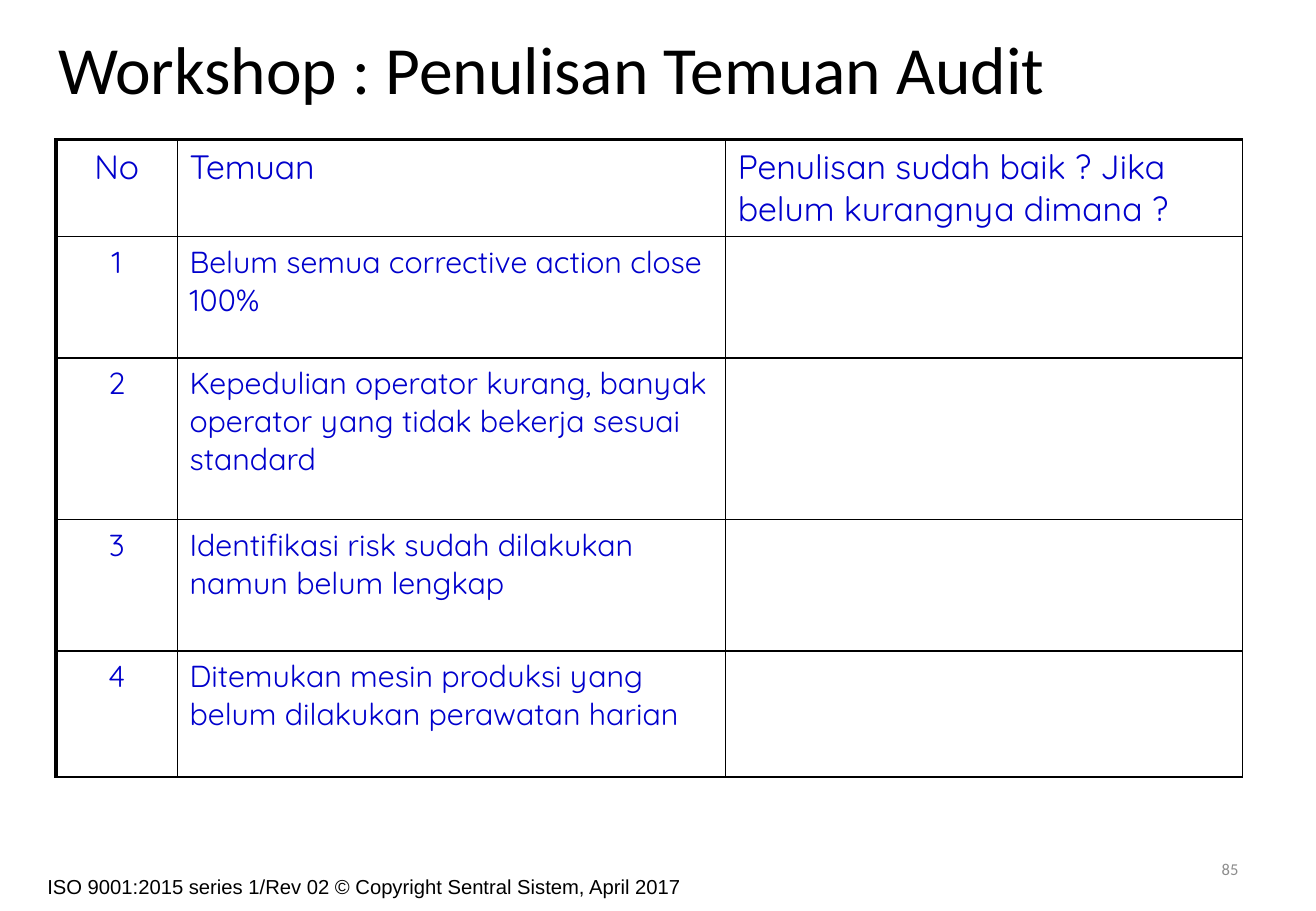
from lxml.etree import SubElement
from pptx import Presentation
from pptx.dml.color import RGBColor
from pptx.enum.text import MSO_ANCHOR as Anchor, PP_ALIGN as Align
from pptx.oxml.ns import qn
from pptx.util import Cm, Pt

FINDINGS = [
    "Belum semua corrective action close 100%",
    "Kepedulian operator kurang, banyak operator yang tidak bekerja sesuai standard",
    "Identifikasi risk sudah dilakukan namun belum lengkap",
    "Ditemukan mesin produksi yang belum dilakukan perawatan harian",
]
HEADER = ["No", "Temuan", "Penulisan sudah baik ? Jika belum kurangnya dimana ?"]
COLUMN_WIDTHS = [2.54, 11.46, 10.8]
ROW_HEIGHTS = [2.03, 2.54, 3.38, 2.74, 2.64]


def set_color(color_format, value):
    """Apply a hex colour string to a colour format."""
    color_format.rgb = RGBColor.from_string(value)


def write(frame, text, font_name, size, color, align=Align.LEFT):
    """Put one formatted paragraph into a text frame."""
    frame.text = text
    frame.word_wrap = True
    paragraph = frame.paragraphs[0]
    paragraph.alignment = align
    font = paragraph.font
    font.name, font.size, font.bold = font_name, Pt(size), False
    set_color(font.color, color)
    return paragraph


def add_label(slide, box, text, font_name, size, color,
              align=Align.LEFT, anchor=Anchor.MIDDLE):
    """Add a text box at left, top, width and height in centimetres."""
    frame = slide.shapes.add_textbox(*map(Cm, box)).text_frame
    frame.vertical_anchor = anchor
    return write(frame, text, font_name, size, color, align)


def add_border(cell, side, width):
    """Draw a solid black border on one side of a cell."""
    line = SubElement(cell._tc.get_or_add_tcPr(), qn(f"a:ln{side}"), w=str(Pt(width)))
    SubElement(SubElement(line, qn("a:solidFill")), qn("a:srgbClr"), val="000000")


def add_findings_table(slide):
    """Add the bordered table of audit findings."""
    rows = [HEADER] + [[str(number), finding, ""]
                       for number, finding in enumerate(FINDINGS, 1)]
    table = slide.shapes.add_table(
        len(rows), len(HEADER), Cm(1.17), Cm(2.92),
        Cm(sum(COLUMN_WIDTHS)), Cm(sum(ROW_HEIGHTS))).table
    table.first_row = table.horz_banding = False
    for column, width in zip(table.columns, COLUMN_WIDTHS):
        column.width = Cm(width)
    for r, (values, height) in enumerate(zip(rows, ROW_HEIGHTS)):
        table.rows[r].height = Cm(height)
        for c, value in enumerate(values):
            cell = table.cell(r, c)
            write(cell.text_frame, value, "Quicksand", 18 if r else 20, "0000CC",
                  Align.LEFT if c else Align.CENTER)
            add_border(cell, "L", 1 if c else 2.25)
            add_border(cell, "R", 1)
            add_border(cell, "T", 1 if r else 2.25)
            add_border(cell, "B", 1)
            cell.fill.background()


def main():
    """Build the workshop slide and save it."""
    deck = Presentation()
    deck.slide_width, deck.slide_height = Cm(27.51), Cm(19.05)
    slide = deck.slides.add_slide(deck.slide_layouts[6])
    add_label(slide, (0.74, 18.16, 15.21, 1.02),
              "ISO 9001:2015 series 1/Rev 02 © Copyright Sentral Sistem, April 2017",
              "Arial", 12, "000000", anchor=Anchor.TOP)
    title = add_label(slide, (0.97, -0.08, 25.17, 3.18),
                      "Workshop : Penulisan Temuan Audit", "Calibri", 40, "000000")
    title.line_spacing = 0.9
    add_findings_table(slide)
    add_label(slide, (19.71, 17.65, 6.43, 1.02), "85", "Calibri", 9.8, "8C8C8C",
              Align.RIGHT)
    deck.save("out.pptx")


if __name__ == "__main__":
    main()
